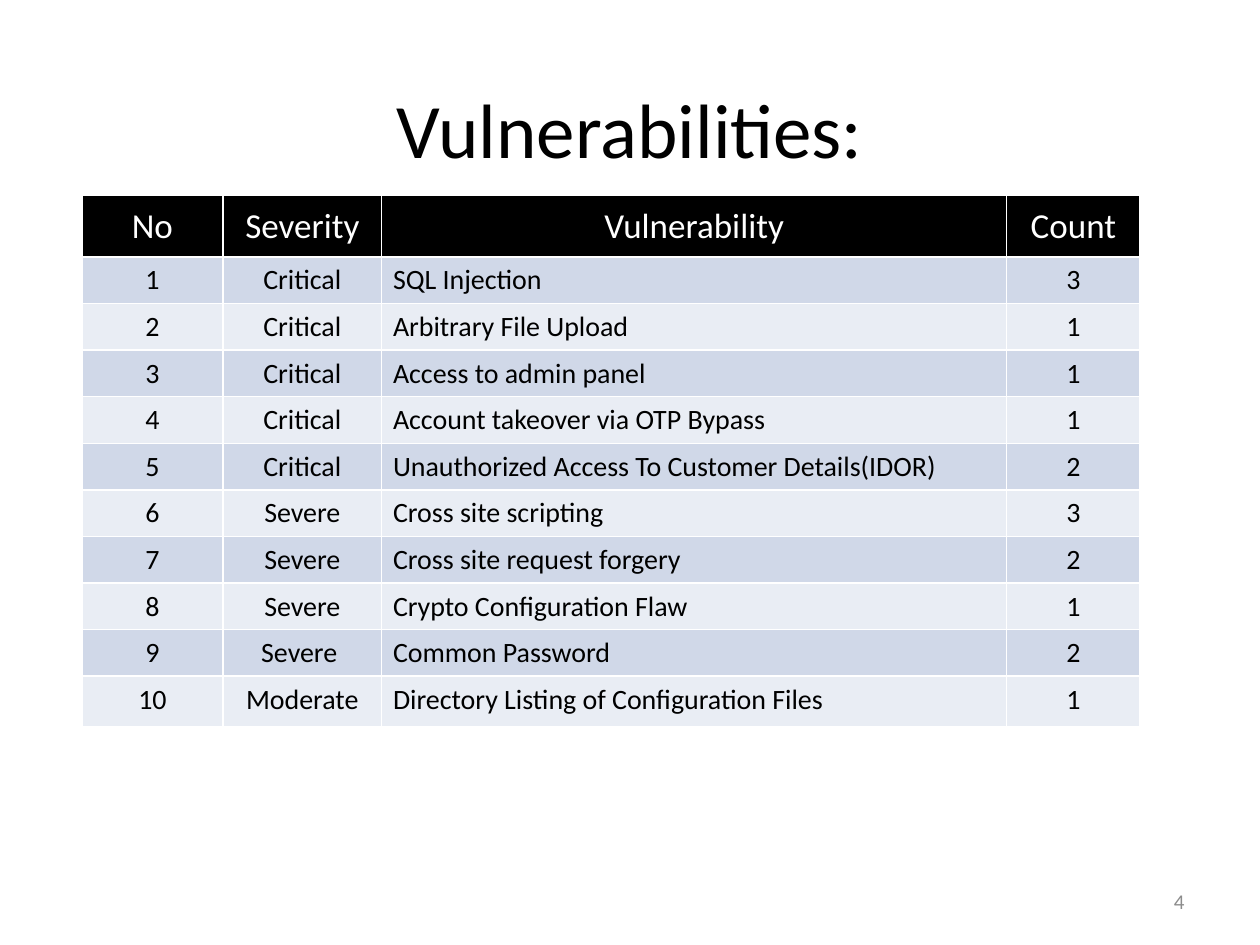
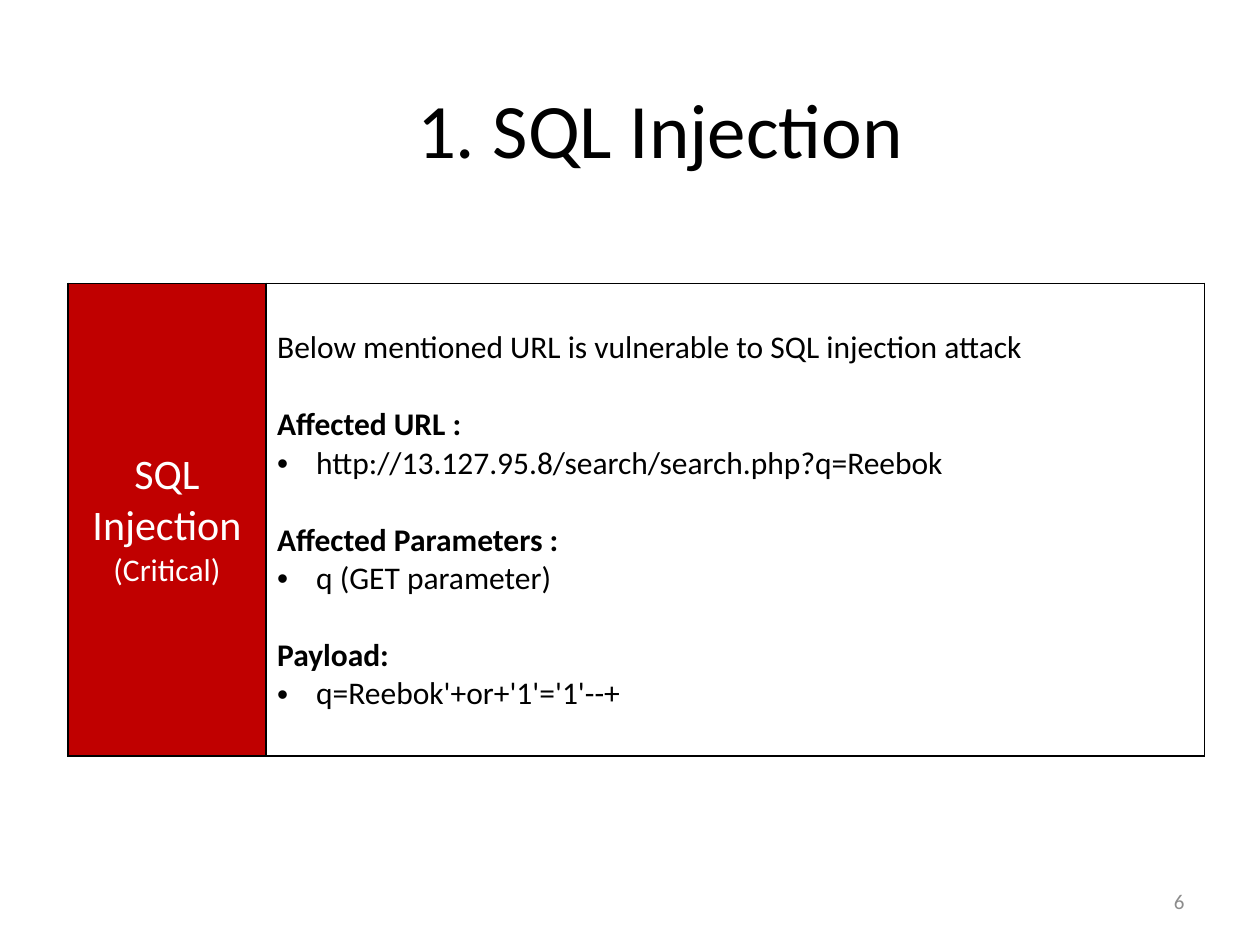
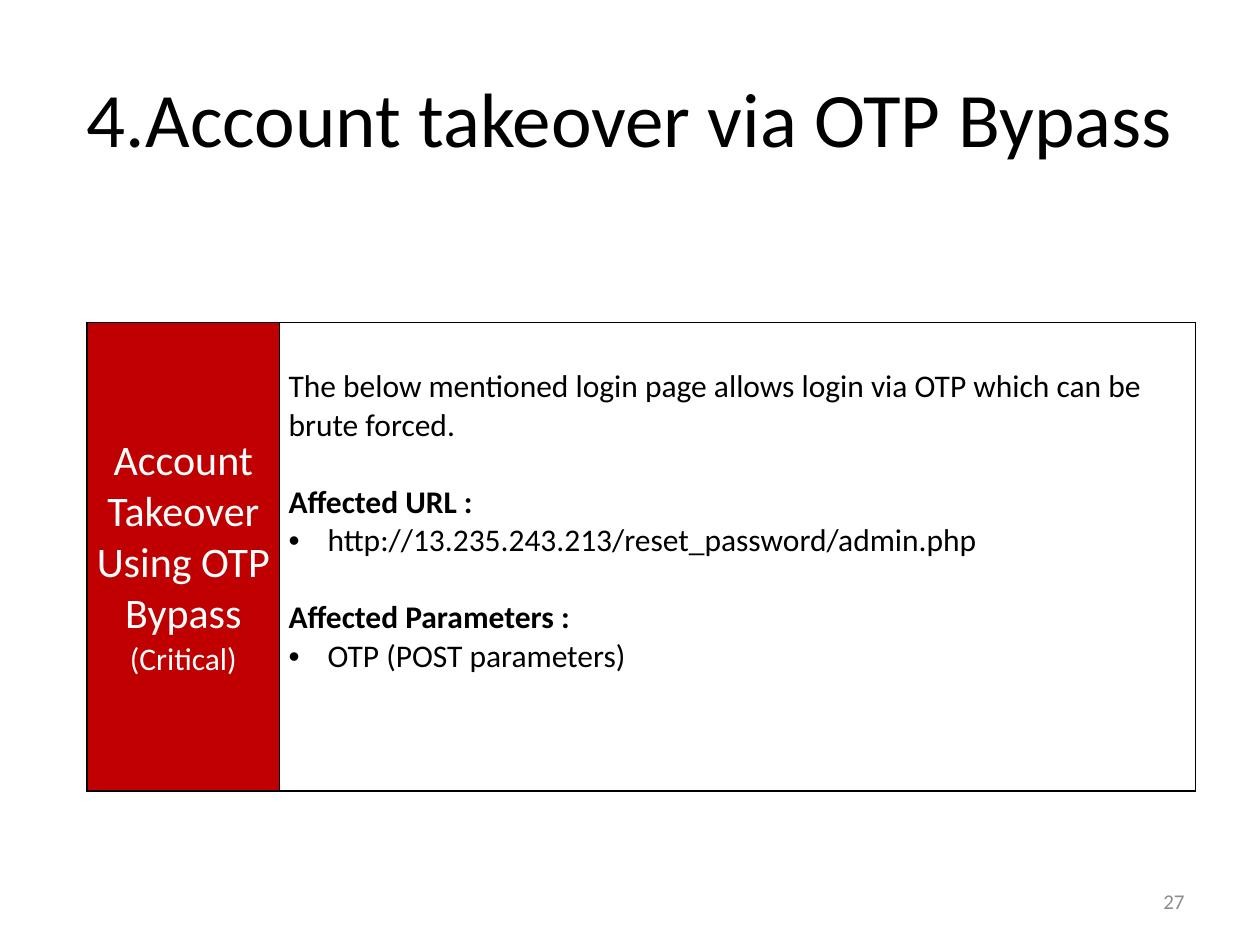
from dataclasses import dataclass

from pptx import Presentation
from pptx.dml.color import RGBColor
from pptx.enum import text as t
from pptx.oxml import parse_xml
from pptx.oxml.ns import nsdecls, qn
from pptx.util import Inches, Pt


@dataclass(frozen=True)
class Theme:
    font: str = "Calibri"
    black: str = "000000"
    white: str = "FFFFFF"
    critical: str = "C00000"
    bands: tuple = ("D0D8E8", "E9EDF4")
    page_grey: str = "8C8C8C"
    title: int = 44
    label: int = 24
    header: int = 20
    body: int = 18
    row: int = 16
    page: int = 12
    section_gap: int = 22
    plain_table: str = "{2D5ABB26-0587-4C30-8999-92F81FD0307C}"


THEME = Theme()
LEFT, CENTER, RIGHT = t.PP_ALIGN.LEFT, t.PP_ALIGN.CENTER, t.PP_ALIGN.RIGHT
TOP, MIDDLE = t.MSO_ANCHOR.TOP, t.MSO_ANCHOR.MIDDLE

SUMMARY = {
    "title": "Vulnerabilities:",
    "title_at": (-0.75, 0.29, 11.5, 1.45),
    "page": "4",
    "table_at": (0.65, 1.55),
    "columns": (1.12, 1.26, 4.96, 1.06),
    "header": ("No", "Severity", "Vulnerability", "Count"),
    "findings": [
        ("Critical", "SQL Injection", 3),
        ("Critical", "Arbitrary File Upload", 1),
        ("Critical", "Access to admin panel", 1),
        ("Critical", "Account takeover via OTP Bypass", 1),
        ("Critical", "Unauthorized Access To Customer Details(IDOR)", 2),
        ("Severe", "Cross site scripting", 3),
        ("Severe", "Cross site request forgery", 2),
        ("Severe", "Crypto Configuration Flaw", 1),
        ("Severe ", "Common Password", 2),
        ("Moderate", "Directory Listing of Configuration Files", 1),
    ],
}
HEADER_HEIGHT, ROW_HEIGHT, LAST_ROW_HEIGHT = 0.49, 0.37, 0.4

DETAILS = [
    {
        "title": "1. SQL Injection",
        "title_at": (-0.51, 0.29, 11.5, 1.45),
        "page": "6",
        "table_at": (0.54, 1.68),
        "columns": (1.57, 7.45),
        "rows": (0.57, 3.75),
        "side_margin": 0.09,
        "label": "SQL Injection",
        "severity": "(Critical)",
        "intro": "Below mentioned URL is vulnerable to SQL injection attack",
        "sections": [
            ("Affected URL :", "http://13.127.95.8/search/search.php?q=Reebok"),
            ("Affected Parameters :", "q (GET parameter)"),
            ("Payload:", "q=Reebok'+or+'1'='1'--+"),
        ],
    },
    {
        "title": "4.Account takeover via OTP Bypass",
        "title_at": (0.5, 0.3, 9, 1.25),
        "page": "27",
        "table_at": (0.69, 2),
        "columns": (1.53, 7.27),
        "rows": (0.56, 3.72),
        "side_margin": 0.07,
        "label": "Account Takeover Using OTP Bypass",
        "severity": "(Critical)",
        "intro": "The below mentioned login page allows login via OTP "
                 "which can be brute forced.",
        "sections": [
            ("Affected URL :", "http://13.235.243.213/reset_password/admin.php"),
            ("Affected Parameters :", "OTP (POST parameters)"),
        ],
    },
]
PAGE_AT = (7.17, 6.95, 2.33, 0.4)


def write(frame, lines, align=LEFT):
    """Fill a text frame; each line is (text, format) with font values,
    and optionally bullet and gap."""
    for i, (words, style) in enumerate(lines):
        para = frame.paragraphs[0] if i == 0 else frame.add_paragraph()
        para.alignment = align
        style = {"name": THEME.font, "color": THEME.black, "bold": False} | style
        if style.pop("bullet", False):
            props = para._p.get_or_add_pPr()
            props.set("marL", str(Inches(0.31)))
            props.set("indent", str(-Inches(0.31)))
            for tag in ('buFont %s typeface="Arial"', 'buChar %s char="•"'):
                props.append(parse_xml("<a:" + tag % nsdecls("a") + "/>"))
        gap = style.pop("gap", 0)
        if gap:
            para.space_before = Pt(gap)
        run = para.add_run()
        run.text = words
        run.font.color.rgb = RGBColor.from_string(style.pop("color"))
        run.font.size = Pt(style.pop("size"))
        for name, value in style.items():
            setattr(run.font, name, value)


def add_page(prs, content):
    """Add a slide with its title and page number."""
    slide = prs.slides.add_slide(prs.slide_layouts[5])
    title = slide.shapes.title
    title.left, title.top, title.width, title.height = map(
        Inches, content["title_at"])
    title.text_frame.vertical_anchor = MIDDLE
    write(title.text_frame, [(content["title"], {"size": THEME.title})], CENTER)

    frame = slide.shapes.add_textbox(*map(Inches, PAGE_AT)).text_frame
    frame.word_wrap = True
    frame.vertical_anchor = MIDDLE
    write(frame, [(content["page"],
                   {"size": THEME.page, "color": THEME.page_grey})], RIGHT)
    return slide


def add_plain_table(slide, at, columns, rows):
    table = slide.shapes.add_table(
        len(rows), len(columns), *map(Inches, (*at, sum(columns), sum(rows)))).table
    props = table._tbl.tblPr
    props.find(qn("a:tableStyleId")).text = THEME.plain_table
    table.first_row = table.horz_banding = False
    for column, width in zip(table.columns, columns):
        column.width = Inches(width)
    for row, height in zip(table.rows, rows):
        row.height = Inches(height)
    return table


def style_cell(cell, border, fill=None, sides="LRTB", anchor=TOP, **margins):
    props = cell._tc.get_or_add_tcPr()
    for side in sides:
        props.append(parse_xml(
            f'<a:ln{side} {nsdecls("a")} w="{Pt(1)}"><a:solidFill>'
            f'<a:srgbClr val="{border}"/></a:solidFill></a:ln{side}>'))
    if fill:
        cell.fill.solid()
        cell.fill.fore_color.rgb = RGBColor.from_string(fill)
    else:
        cell.fill.background()
    cell.vertical_anchor = anchor
    for name, inches in margins.items():
        setattr(cell, f"margin_{name}", Inches(inches))


def build_summary(prs, content):
    slide = add_page(prs, content)
    findings = content["findings"]
    heights = [HEADER_HEIGHT, *[ROW_HEIGHT] * (len(findings) - 1), LAST_ROW_HEIGHT]
    table = add_plain_table(slide, content["table_at"], content["columns"], heights)
    rows = [content["header"],
            *((number, *finding) for number, finding in enumerate(findings, 1))]
    name_column = content["header"].index("Vulnerability")
    for r, row in enumerate(rows):
        is_header = r == 0
        fill = THEME.black if is_header else THEME.bands[(r - 1) % 2]
        font = ({"size": THEME.header, "color": THEME.white} if is_header
                else {"size": THEME.row})
        for c, value in enumerate(row):
            cell = table.cell(r, c)
            style_cell(cell, THEME.white, fill, left=0.09, right=0.09,
                       anchor=MIDDLE if is_header else TOP)
            write(cell.text_frame, [(str(value), font)],
                  LEFT if c == name_column and not is_header else CENTER)


def build_detail(prs, content):
    slide = add_page(prs, content)
    table = add_plain_table(slide, content["table_at"], content["columns"],
                            content["rows"])
    for spacer in table.rows[0].cells:
        style_cell(spacer, THEME.black, sides="B")

    margins = dict.fromkeys(("left", "right"), content["side_margin"])
    label, body = table.rows[1].cells
    style_cell(label, THEME.black, THEME.critical, anchor=MIDDLE, **margins)
    write(label.text_frame, [
        (content["label"], {"size": THEME.label, "color": THEME.white}),
        (content["severity"], {"size": THEME.body, "color": THEME.white}),
    ], CENTER)

    style_cell(body, THEME.black, THEME.white, top=0.36, **margins)
    lines = [(content["intro"], {"size": THEME.body})]
    for heading, item in content["sections"]:
        lines += [
            (heading, {"size": THEME.body, "bold": True, "gap": THEME.section_gap}),
            (item, {"size": THEME.body, "bullet": True}),
        ]
    write(body.text_frame, lines)


def main():
    prs = Presentation()
    prs.slide_width, prs.slide_height = Inches(10), Inches(7.5)
    build_summary(prs, SUMMARY)
    for detail in DETAILS:
        build_detail(prs, detail)
    prs.save("out.pptx")


if __name__ == "__main__":
    main()
